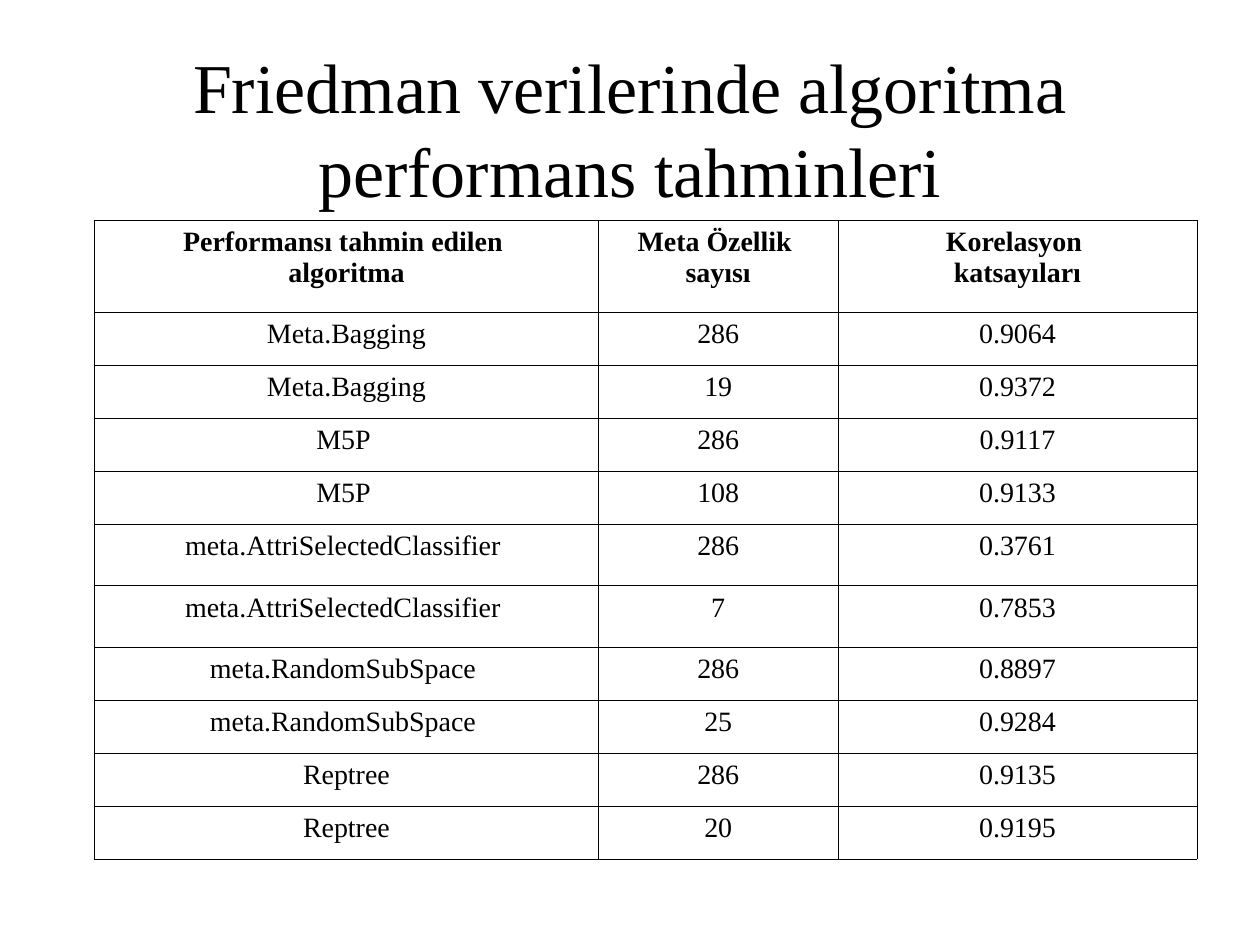
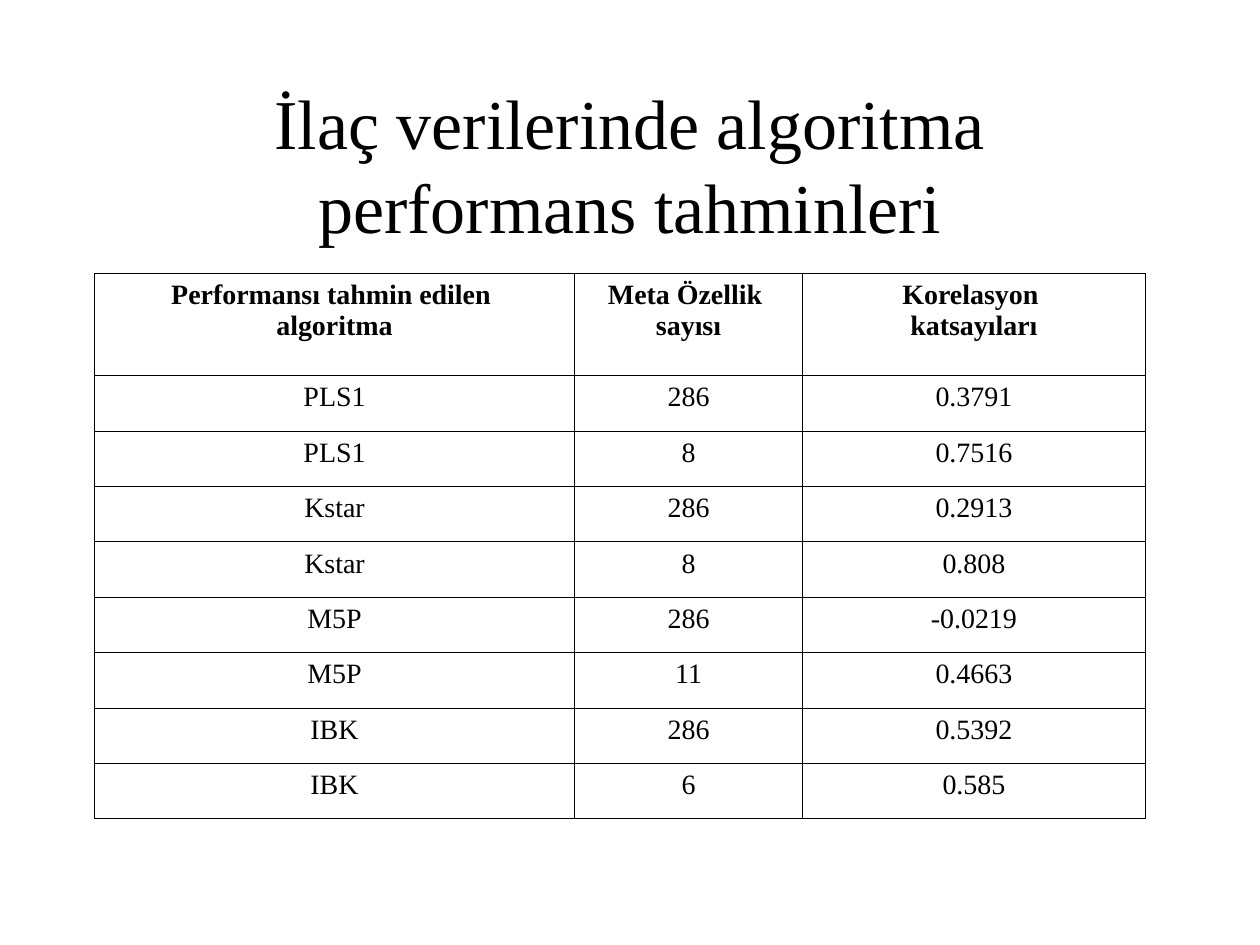
from lxml.etree import SubElement
from pptx import Presentation
from pptx.dml.color import RGBColor
from pptx.enum.text import MSO_ANCHOR, MSO_AUTO_SIZE, PP_ALIGN
from pptx.oxml.ns import qn
from pptx.util import Emu, Pt

# Shared look: 100 px to the inch
EMU_PER_PX = 9144
FONT = "Times New Roman"
INK = "000000"
PAPER = "FFFFFF"
LEFT = 75
TITLE_WIDTH, TITLE_HEIGHT = 850, 125
RULE_WIDTH = Pt(0.45)

HEADINGS = (
    "Performansı tahmin edilen \nalgoritma",
    "Meta Özellik \nsayısı",
    "Korelasyon \nkatsayıları",
)

FRIEDMAN_RESULTS = [
    ("Meta.Bagging", "286", "0.9064"),
    ("Meta.Bagging", "19", "0.9372"),
    ("M5P ", "286", "0.9117"),
    ("M5P ", "108", "0.9133"),
    ("meta.AttriSelectedClassifier ", "286", "0.3761"),
    ("meta.AttriSelectedClassifier ", "7", "0.7853"),
    ("meta.RandomSubSpace ", "286", "0.8897"),
    ("meta.RandomSubSpace ", "25", "0.9284"),
    ("Reptree", "286", "0.9135"),
    ("Reptree", "20", "0.9195"),
]

DRUG_RESULTS = [
    ("PLS1", "286", "0.3791"),
    ("PLS1", "8", "0.7516"),
    ("Kstar", "286", "0.2913"),
    ("Kstar", "8", "0.808"),
    ("M5P", "286", "-0.0219"),
    ("M5P", "11", "0.4663"),
    ("IBK", "286", "0.5392"),
    ("IBK", "6", "0.585"),
]


def px(length):
    return Emu(length * EMU_PER_PX)


def color(hex_value):
    return RGBColor.from_string(hex_value)


def style_text(frame, size, bold=False):
    for paragraph in frame.paragraphs:
        paragraph.alignment = PP_ALIGN.CENTER
        for run in paragraph.runs:
            run.font.name = FONT
            run.font.size = Pt(size)
            run.font.bold = bold
            run.font.color.rgb = color(INK)


def add_titled_slide(prs, heading, top):
    slide = prs.slides.add_slide(prs.slide_layouts[5])
    slide.background.fill.solid()
    slide.background.fill.fore_color.rgb = color(PAPER)
    title = slide.shapes.title
    title.left, title.top = px(LEFT), px(top)
    title.width, title.height = px(TITLE_WIDTH), px(TITLE_HEIGHT)
    frame = title.text_frame
    frame.text = heading
    frame.word_wrap = True
    frame.auto_size = MSO_AUTO_SIZE.NONE
    frame.vertical_anchor = MSO_ANCHOR.MIDDLE
    frame.paragraphs[0].line_spacing = Pt(48)
    style_text(frame, 40)
    return slide


def rule_cell(cell):
    """Draw a thin line on all four sides of a cell."""
    properties = cell._tc.get_or_add_tcPr()
    for position, side in enumerate(("a:lnL", "a:lnR", "a:lnT", "a:lnB")):
        line = SubElement(properties, qn(side), w=str(RULE_WIDTH))
        fill = SubElement(line, qn("a:solidFill"))
        SubElement(fill, qn("a:srgbClr"), val=INK)
        properties.insert(position, line)


def fill_cell(cell, text, bold):
    cell.text = text
    cell.margin_left = cell.margin_right = px(10)
    cell.margin_top = cell.margin_bottom = px(5)
    cell.fill.background()
    rule_cell(cell)
    style_text(cell.text_frame, 16, bold)


def add_results(slide, top, results, widths, heights):
    rows = [HEADINGS, *results]
    table = slide.shapes.add_table(
        len(rows), len(widths), px(LEFT), px(top), px(sum(widths)), px(sum(heights))
    ).table
    table.first_row = table.horz_banding = False
    for column, width in zip(table.columns, widths):
        column.width = px(width)
    for row, height in zip(table.rows, heights):
        row.height = px(height)
    for r, values in enumerate(rows):
        for c, value in enumerate(values):
            fill_cell(table.cell(r, c), value, bold=r == 0)


def main():
    prs = Presentation()
    prs.slide_width, prs.slide_height = px(1000), px(750)

    # Friedman data: the two long classifier names have taller rows
    friedman = add_titled_slide(
        prs, "Friedman verilerinde algoritma performans tahminleri", 39
    )
    friedman_heights = [73] + [42] * 4 + [49] * 2 + [42] * 4
    add_results(friedman, 175, FRIEDMAN_RESULTS, (400, 190, 285), friedman_heights)

    # Drug data
    drug = add_titled_slide(
        prs, "İlaç verilerinde algoritma performans tahminleri", 67
    )
    drug_heights = [81] + [44] * len(DRUG_RESULTS)
    add_results(drug, 217, DRUG_RESULTS, (381, 181, 272), drug_heights)

    prs.save("out.pptx")


if __name__ == "__main__":
    main()
